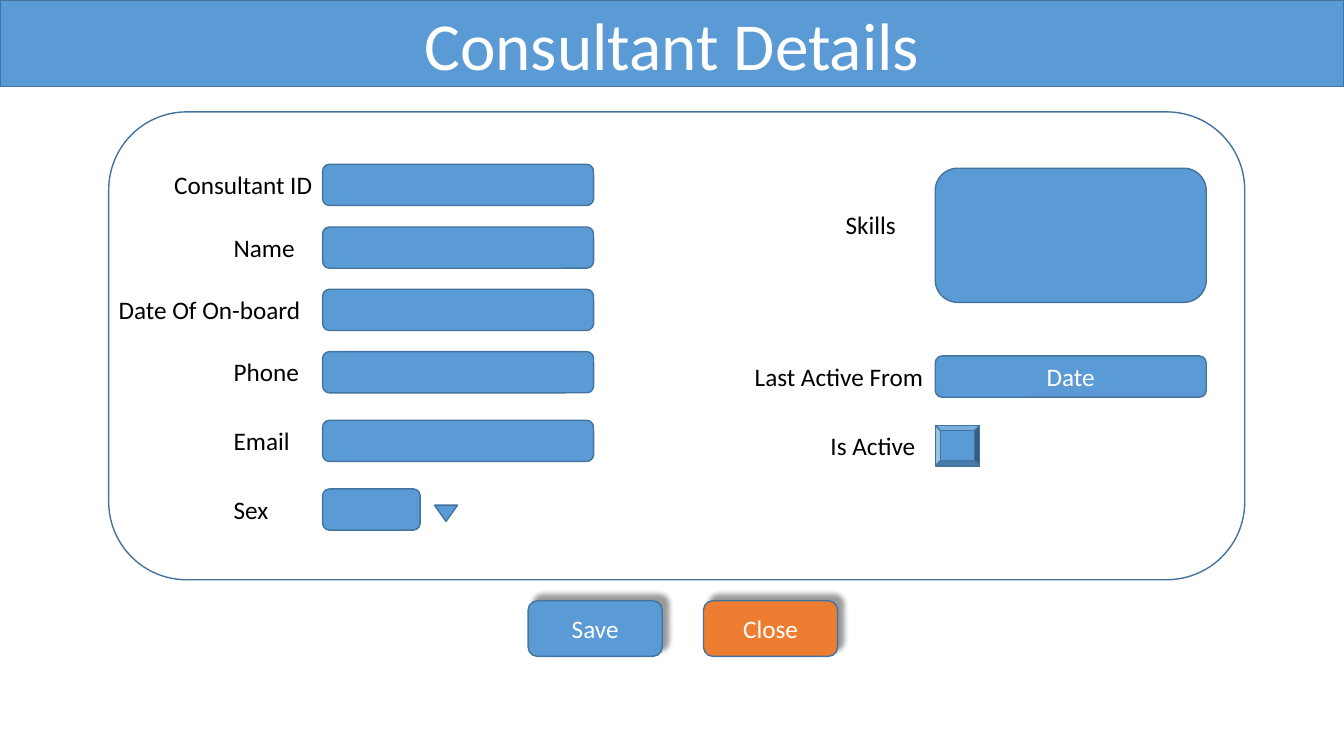
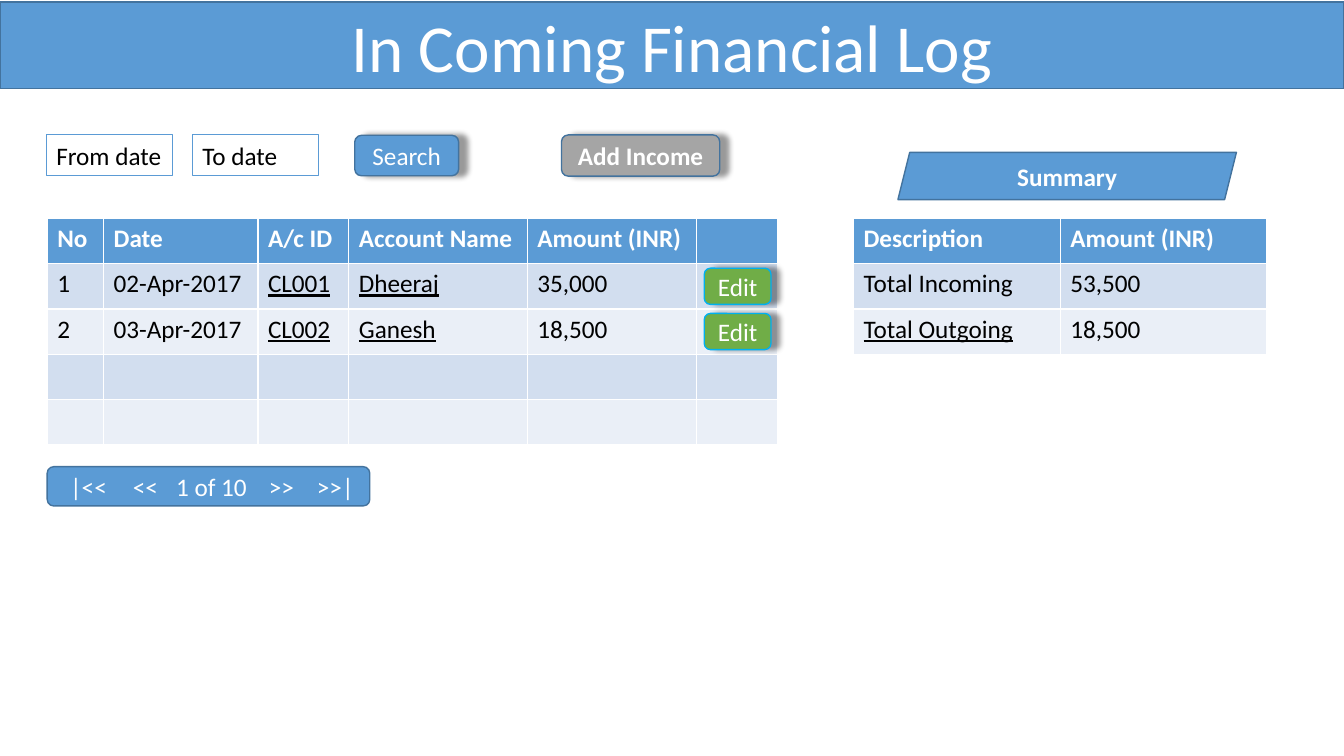
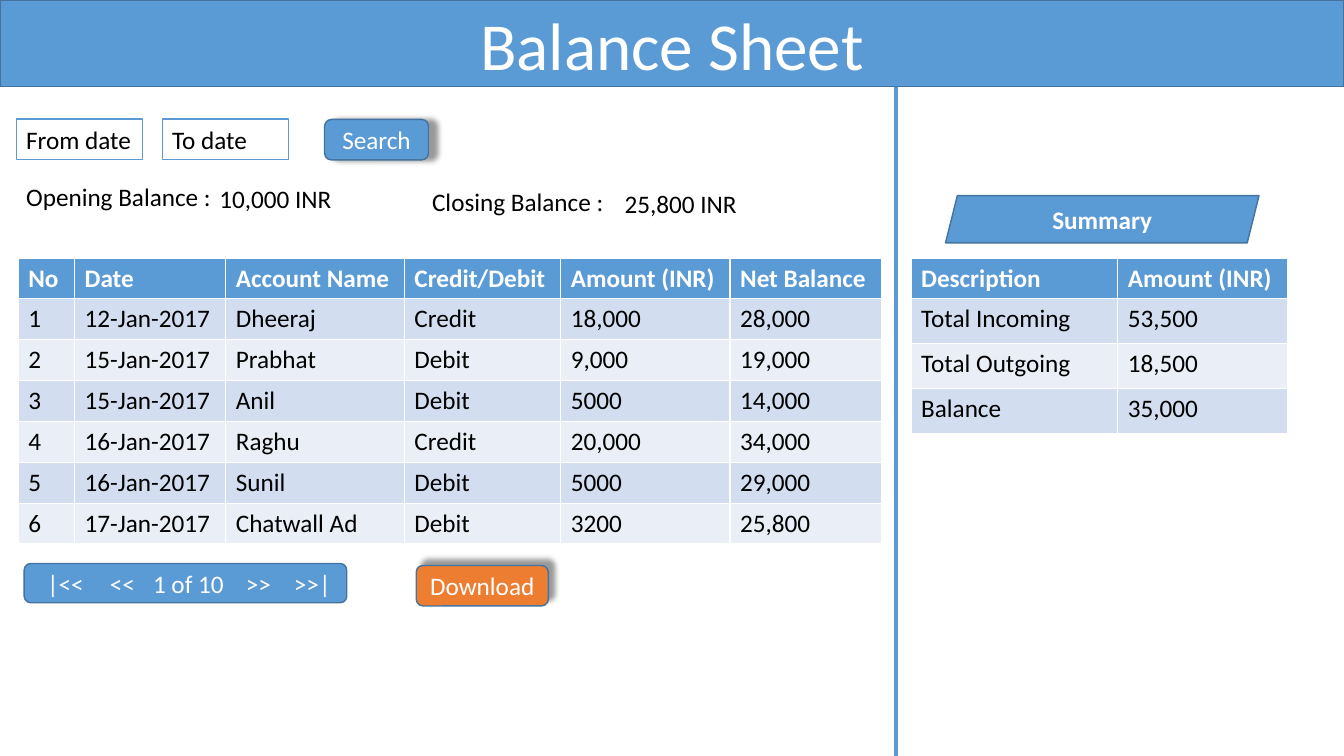
from dataclasses import dataclass

from lxml import etree
from pptx import Presentation
from pptx.dml.color import RGBColor
from pptx.enum.shapes import MSO_CONNECTOR, MSO_SHAPE
from pptx.enum.text import MSO_ANCHOR, PP_ALIGN
from pptx.oxml.ns import qn
from pptx.util import Cm, Pt

RECT = MSO_SHAPE.RECTANGLE
ROUND = MSO_SHAPE.ROUNDED_RECTANGLE
BEVEL = MSO_SHAPE.BEVEL
TRIANGLE = MSO_SHAPE.ISOSCELES_TRIANGLE
PARALLELOGRAM = MSO_SHAPE.PARALLELOGRAM
STRAIGHT = MSO_CONNECTOR.STRAIGHT
MIDDLE = MSO_ANCHOR.MIDDLE
LEFT, CENTER = PP_ALIGN.LEFT, PP_ALIGN.CENTER


@dataclass(frozen=True)
class Theme:
    font: str = "Calibri"
    title_size: int = 48
    text_size: int = 18
    blue: str = "5B9BD5"
    outline: str = "43739E"
    orange: str = "ED7D31"
    gray: str = "A5A5A5"
    green: str = "70AD47"
    cyan: str = "00B0F0"
    white: str = "FFFFFF"
    black: str = "000000"
    bands: tuple = ("EAEFF7", "D2DEEF")


THEME = Theme()

# Content; all lengths are in centimetres
SLIDE_W, SLIDE_H, BAND_H = 33.87, 19.05, 2.18
LINE_H, FIELD_W, FIELD_H = 1.02, 6.83, 1.04
ROW_H = 1.14
RIGHT, UP_RIGHT = 0, 315  # shadow directions in degrees

# Form columns: field left, then
# label, label left, label top, field shape, field top, width, height, field text
FORM = [
    (8.13, [
        ("Consultant ID", 4.14, 4.14, ROUND, 4.14, FIELD_W, FIELD_H, ""),
        ("Name", 5.64, 5.72, ROUND, 5.72, FIELD_W, FIELD_H, ""),
        ("Date Of On-board", 2.74, 7.29, ROUND, 7.29, FIELD_W, FIELD_H, ""),
        ("Phone", 5.64, 8.86, ROUND, 8.86, FIELD_W, FIELD_H, ""),
        ("Email", 5.64, 10.59, ROUND, 10.59, FIELD_W, FIELD_H, ""),
        ("Sex", 5.64, 12.32, ROUND, 12.32, 2.46, FIELD_H, ""),
    ]),
    (23.57, [
        ("Skills", 21.06, 5.16, ROUND, 4.24, FIELD_W, 3.38, ""),
        ("Last Active From", 18.77, 8.97, ROUND, 8.97, FIELD_W, FIELD_H, "Date"),
        ("Is Active", 20.68, 10.72, BEVEL, 10.72, 1.12, LINE_H, ""),
    ]),
]
FORM_BUTTONS = [("Save", 13.31, THEME.blue), ("Close", 17.73, THEME.orange)]

INCOME = [
    ("No", "Date", "A/c ID", "Account Name", "Amount (INR)", ""),
    ("1", "02-Apr-2017", "CL001", "Dheeraj", "35,000", ""),
    ("2", "03-Apr-2017", "CL002", "Ganesh", "18,500", ""),
    ("",) * 6,
    ("",) * 6,
]
INCOME_COLS = (1.42, 3.89, 2.29, 4.5, 4.27, 2.03)
INCOME_LINKS = {"CL001", "CL002", "Dheeraj", "Ganesh"}

SUMMARY = [
    ("Description", "Amount (INR)"),
    ("Total Incoming", "53,500"),
    ("Total Outgoing", "18,500"),
]

BALANCE = [
    ("No", "Date", "Account Name", "Credit/Debit", "Amount (INR)", "Net Balance"),
    ("1", "12-Jan-2017", "Dheeraj", "Credit", "18,000", "28,000"),
    ("2", "15-Jan-2017", "Prabhat", "Debit", "9,000", "19,000"),
    ("3", "15-Jan-2017", "Anil", "Debit", "5000", "14,000"),
    ("4", "16-Jan-2017", "Raghu", "Credit", "20,000", "34,000"),
    ("5", "16-Jan-2017", "Sunil", "Debit", "5000", "29,000"),
    ("6", "17-Jan-2017", "Chatwall Ad", "Debit", "3200", "25,800"),
]
BALANCE_COLS = (1.42, 3.81, 4.5, 3.94, 4.27, 3.81)
BALANCE_NOTES = [
    ("Opening Balance :", 0.41, 4.45),
    ("10,000 INR", 5.28, 4.5),
    ("Closing Balance :", 10.64, 4.57),
    ("25,800 INR", 15.49, 4.62),
]

PAGER = ("|<<", "<<", "1 of 10", ">>", ">>|")
PAGER_TABS = (1.58, 2.67, 5.01, 6.22)


# Shared drawing helpers
def rgb(value):
    return RGBColor.from_string(value)


def place(left, top, width, height):
    return Cm(left), Cm(top), Cm(width), Cm(height)


def style_text(frame, text, color, size=THEME.text_size, bold=False,
               align=LEFT, underline=False):
    frame.text = text
    paragraph = frame.paragraphs[0]
    paragraph.alignment = align
    font = paragraph.font
    font.name, font.size, font.bold = THEME.font, Pt(size), bold
    font.color.rgb = rgb(color)
    if underline:
        font.underline = True


def paint(shape, fill, line, line_width=1):
    if fill:
        shape.fill.solid()
        shape.fill.fore_color.rgb = rgb(fill)
    else:
        shape.fill.background()
    shape.line.color.rgb = rgb(line)
    shape.line.width = Pt(line_width)


def add_shadow(shape, direction):
    effects = shape._element.spPr.find(qn("a:effectLst"))
    shadow = etree.SubElement(
        effects, qn("a:outerShdw"), blurRad=str(Pt(4)), dist=str(Pt(6)),
        dir=str(direction * 60000), algn="ctr", rotWithShape="0")
    color = etree.SubElement(shadow, qn("a:srgbClr"), val=THEME.black)
    etree.SubElement(color, qn("a:alpha"), val="40000")


def add_box(slide, kind, box, text="", fill=THEME.blue, line=THEME.outline,
            line_width=1, color=THEME.white, bold=False, align=CENTER,
            shadow=None):
    shape = slide.shapes.add_shape(kind, *place(*box))
    shape.shadow.inherit = False
    paint(shape, fill, line, line_width)
    if shadow is not None:
        add_shadow(shape, shadow)
    if text:
        style_text(shape.text_frame, text, color, bold=bold, align=align)
    return shape


def add_label(slide, text, left, top, width):
    frame = slide.shapes.add_textbox(*place(left, top, width, LINE_H)).text_frame
    frame.word_wrap = True
    style_text(frame, text, THEME.black)


def add_grid(slide, rows, left, top, cols, heights, links=()):
    frame = slide.shapes.add_table(
        len(rows), len(cols), *place(left, top, sum(cols), sum(heights)))
    table = frame.table
    for column, width in zip(table.columns, cols):
        column.width = Cm(width)
    for r, (values, height) in enumerate(zip(rows, heights)):
        header = r == 0
        table.rows[r].height = Cm(height)
        for c, value in enumerate(values):
            cell = table.cell(r, c)
            cell.fill.solid()
            cell.fill.fore_color.rgb = rgb(THEME.blue if header else THEME.bands[r % 2])
            style_text(cell.text_frame, value,
                       THEME.white if header else THEME.black,
                       bold=header, underline=value in links)


def add_filter_bar(slide, left, top):
    for i, (text, fill) in enumerate([("From date", None), ("To date", THEME.white)]):
        add_box(slide, RECT, (left + i * 3.68, top, 3.18, LINE_H), text, fill,
                THEME.blue, 0.75, THEME.black, align=LEFT)
    add_box(slide, ROUND, (left + 7.77, top + 0.01, 2.62, LINE_H), "Search",
            shadow=RIGHT)


def add_pager(slide, left, top):
    pager = add_box(slide, ROUND, (left, top, 8.13, 0.99), "\t".join(PAGER), align=LEFT)
    pager.text_frame.margin_left = Cm(0.53)
    pager.text_frame.margin_right = 0
    tabs = etree.Element(qn("a:tabLst"))
    for position in PAGER_TABS:
        etree.SubElement(tabs, qn("a:tab"), pos=str(Cm(position)), algn="l")
    pager.text_frame.paragraphs[0]._p.get_or_add_pPr().insert(0, tabs)


def add_page(deck, heading, top=0):
    slide = deck.slides.add_slide(deck.slide_layouts[5])
    title = slide.shapes.title
    title.left, title.top, title.width, title.height = place(0, top, SLIDE_W, BAND_H)
    paint(title, THEME.blue, THEME.outline)
    title.text_frame.vertical_anchor = MIDDLE
    style_text(title.text_frame, heading, THEME.white, THEME.title_size, align=CENTER)
    return slide


# Slides
def build_consultant(deck):
    slide = add_page(deck, "Consultant Details")
    add_box(slide, ROUND, (2.74, 2.82, 28.63, 11.79), fill=None)
    for field_left, fields in FORM:
        for label, left, label_top, kind, top, width, height, text in fields:
            add_label(slide, label, left, label_top, field_left - left)
            add_box(slide, kind, (field_left, top, width, height), text)
    dropdown = add_box(slide, TRIANGLE, (10.95, 12.73, 0.58, 0.41))
    dropdown.rotation = 180
    for text, left, fill in FORM_BUTTONS:
        add_box(slide, ROUND, (left, 15.14, 3.38, 1.4), text, fill, shadow=UP_RIGHT)


def build_income(deck):
    slide = add_page(deck, "In Coming Financial Log", 0.05)
    left, top = 1.19, 5.51
    add_grid(slide, INCOME, left, top, INCOME_COLS, [ROW_H] * len(INCOME), INCOME_LINKS)
    add_filter_bar(slide, 1.17, 3.4)
    add_pager(slide, left, 11.76)
    add_grid(slide, SUMMARY, 21.51, top, (5.21, 5.21), [ROW_H] * len(SUMMARY),
             {"Total Outgoing"})
    add_box(slide, PARALLELOGRAM, (22.63, 3.84, 8.53, 1.19), "Summary", bold=True)
    for row in (1, 2):
        add_box(slide, ROUND, (17.75, top + row * ROW_H + 0.11, 1.68, 0.91), "Edit",
                THEME.green, THEME.cyan, shadow=RIGHT)
    add_box(slide, ROUND, (14.15, 3.4, 3.99, FIELD_H), "Add Income", THEME.gray,
            bold=True, shadow=RIGHT)


def build_balance(deck):
    slide = add_page(deck, "Balance Sheet")
    top = 6.5
    add_grid(slide, BALANCE, 0.46, top, BALANCE_COLS, [1.03] * len(BALANCE))
    add_filter_bar(slide, 0.41, 3)
    for text, left, note_top in BALANCE_NOTES:
        add_label(slide, text, left, note_top, 5.23)
    add_box(slide, ROUND, (10.49, 14.25, 3.33, LINE_H), "Download", THEME.orange,
            shadow=UP_RIGHT)
    add_pager(slide, 0.61, 14.2)
    summary = SUMMARY + [("Balance", "35,000")]
    add_grid(slide, summary, 22.96, top, (5.21, 4.27), [0.98] + [ROW_H] * 3)
    add_box(slide, PARALLELOGRAM, (23.83, 4.93, 7.9, 1.19), "Summary", bold=True)
    divider = slide.shapes.add_connector(
        STRAIGHT, Cm(22.58), Cm(BAND_H), Cm(22.58), Cm(SLIDE_H))
    divider.line.color.rgb = rgb(THEME.blue)
    divider.line.width = Pt(2.25)
    etree.SubElement(divider._element.spPr, qn("a:effectLst"))


def main():
    deck = Presentation()
    deck.slide_width, deck.slide_height = Cm(SLIDE_W), Cm(SLIDE_H)
    build_consultant(deck)
    build_income(deck)
    build_balance(deck)
    deck.save("out.pptx")


if __name__ == "__main__":
    main()
